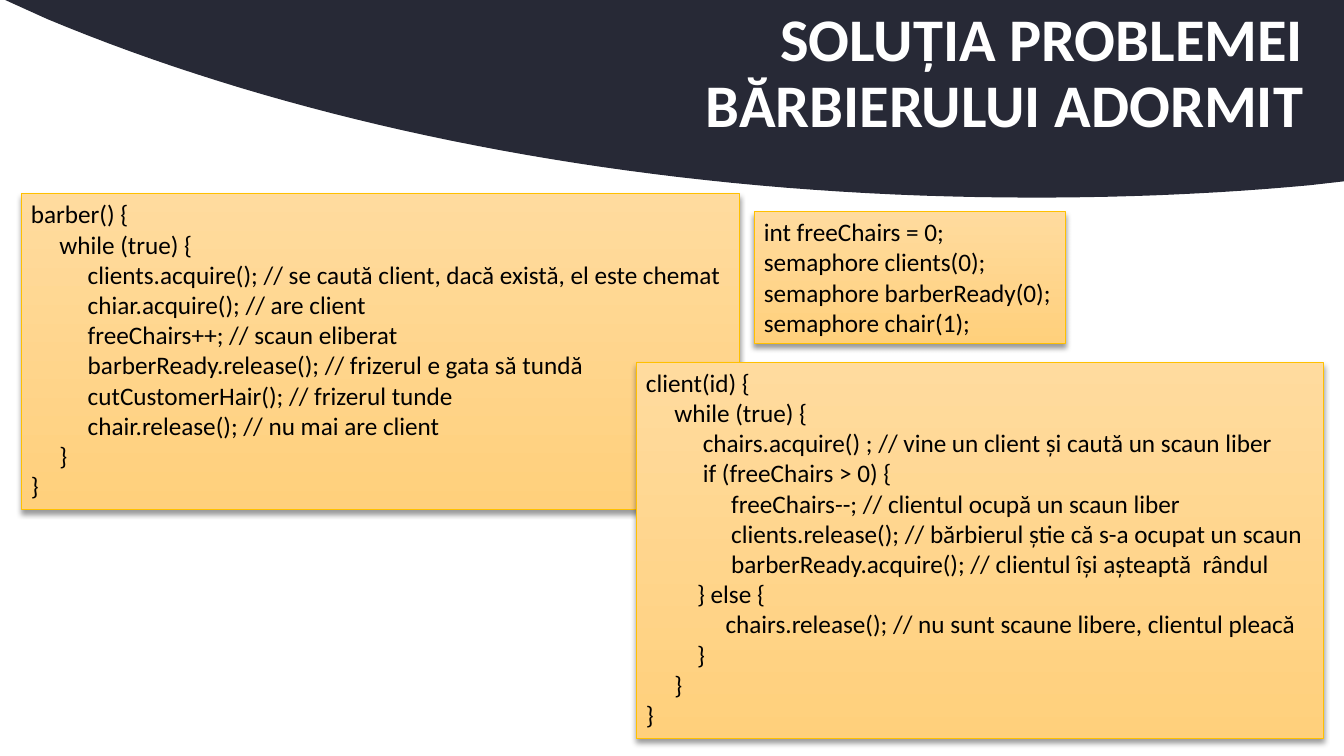
from lxml.etree import SubElement
from pptx import Presentation
from pptx.dml.color import RGBColor
from pptx.enum.shapes import MSO_SHAPE
from pptx.enum.text import MSO_ANCHOR, MSO_AUTO_SIZE, PP_ALIGN
from pptx.oxml.ns import qn
from pptx.util import Cm, Pt

FONT = "Calibri"

SEMAPHORES = """int freeChairs = 0;
semaphore clients(0);
semaphore barberReady(0);
semaphore chair(1);"""

BARBER = """barber() {
     while (true) {
          clients.acquire(); // se caută client, dacă există, el este chemat
          chiar.acquire(); // are client
          freeChairs++; // scaun eliberat
          barberReady.release(); // frizerul e gata să tundă
          cutCustomerHair(); // frizerul tunde
          chair.release(); // nu mai are client
     }
}"""

CLIENT = """client(id) {
     while (true) {
          chairs.acquire() ; // vine un client și caută un scaun liber
          if (freeChairs > 0) {
               freeChairs--; // clientul ocupă un scaun liber
               clients.release(); // bărbierul știe că s-a ocupat un scaun
               barberReady.acquire(); // clientul își așteaptă  rândul
         } else {
              chairs.release(); // nu sunt scaune libere, clientul pleacă
         }
     }
}"""


def rgb(color):
    return RGBColor.from_string(color)


def format_text(p, size, color, bold=False):
    for r in p.runs:
        r.font.name = FONT
        r.font.size = Pt(size)
        r.font.bold = bold
        r.font.color.rgb = rgb(color)


def bezier(p0, p1, p2, p3, steps=40):
    """Points along a cubic curve, without its start."""
    points = []
    for i in range(1, steps + 1):
        t = i / steps
        u = 1 - t
        points.append(tuple(
            u**3 * a + 3 * u * u * t * b + 3 * u * t * t * c + t**3 * d
            for a, b, c, d in zip(p0, p1, p2, p3)))
    return points


def add_banner(s, color):
    right, low, left = (32.99, 4.67), (26.06, 4.98), (1.19, 0.48)
    points = [(33.87, 0), (33.87, 4.57), right]
    points += bezier(right, (30.73, 4.88), (28.42, 4.98), low)
    points += bezier(low, (16.61, 4.98), (7.95, 3.3), left)
    builder = s.shapes.build_freeform(Cm(0.13), 0)
    builder.add_line_segments([(Cm(x), Cm(y)) for x, y in points])
    sp = builder.convert_to_shape()
    sp.shadow.inherit = False
    sp.fill.solid()
    sp.fill.fore_color.rgb = rgb(color)
    sp.line.fill.background()
    s.shapes.title.element.addprevious(sp.element)  # behind the title


def set_title(s, text):
    sp = s.shapes.title
    sp.left, sp.top, sp.width, sp.height = Cm(2.34), Cm(0.05), Cm(31.53), Cm(3.68)
    tf = sp.text_frame
    tf.auto_size = MSO_AUTO_SIZE.NONE
    tf.word_wrap = True
    tf.vertical_anchor = MSO_ANCHOR.MIDDLE
    tf.margin_right = Cm(1.02)
    p = tf.paragraphs[0]
    p.text = text
    p.alignment = PP_ALIGN.RIGHT
    p.line_spacing = 0.9
    format_text(p, 43.2, "FFFFFF", bold=True)


def add_shadow(sp):
    sp.shadow.inherit = False
    effects = sp.element.spPr.find(qn("a:effectLst"))
    shadow = SubElement(effects, qn("a:outerShdw"), blurRad=str(Pt(4)),
                        dist=str(Pt(3)), dir="5400000", rotWithShape="0")
    color = SubElement(shadow, qn("a:srgbClr"), val="000000")
    SubElement(color, qn("a:alpha"), val="40000")


def add_code_box(s, left, top, width, height, code):
    sp = s.shapes.add_shape(MSO_SHAPE.RECTANGLE, Cm(left), Cm(top), Cm(width), Cm(height))
    sp.fill.gradient()
    sp.fill.gradient_angle = 270  # top to bottom
    for stop, position, color in zip(sp.fill.gradient_stops, (0, 1), ("FFDB9E", "FFD07C")):
        stop.position = position
        stop.color.rgb = rgb(color)
    sp.line.color.rgb = rgb("FFC000")
    sp.line.width = Pt(0.5)
    add_shadow(sp)
    tf = sp.text_frame
    tf.text = code
    tf.word_wrap = False
    tf.auto_size = MSO_AUTO_SIZE.SHAPE_TO_FIT_TEXT
    tf.vertical_anchor = MSO_ANCHOR.TOP
    for p in tf.paragraphs:
        p.alignment = PP_ALIGN.LEFT
        format_text(p, 18, "000000")


def main():
    prs = Presentation()
    prs.slide_width, prs.slide_height = Cm(33.87), Cm(19.05)
    s = prs.slides.add_slide(prs.slide_layouts[5])

    # Heading
    add_banner(s, "272936")
    set_title(s, "SOLUȚIA PROBLEMEI\nBĂRBIERULUI ADORMIT")

    # Code
    add_code_box(s, 19, 5.33, 7.85, 3.33, SEMAPHORES)
    add_code_box(s, 0.53, 4.88, 18.11, 7.95, BARBER)
    add_code_box(s, 16.03, 9.12, 17.32, 9.5, CLIENT)

    prs.save("out.pptx")


if __name__ == "__main__":
    main()
